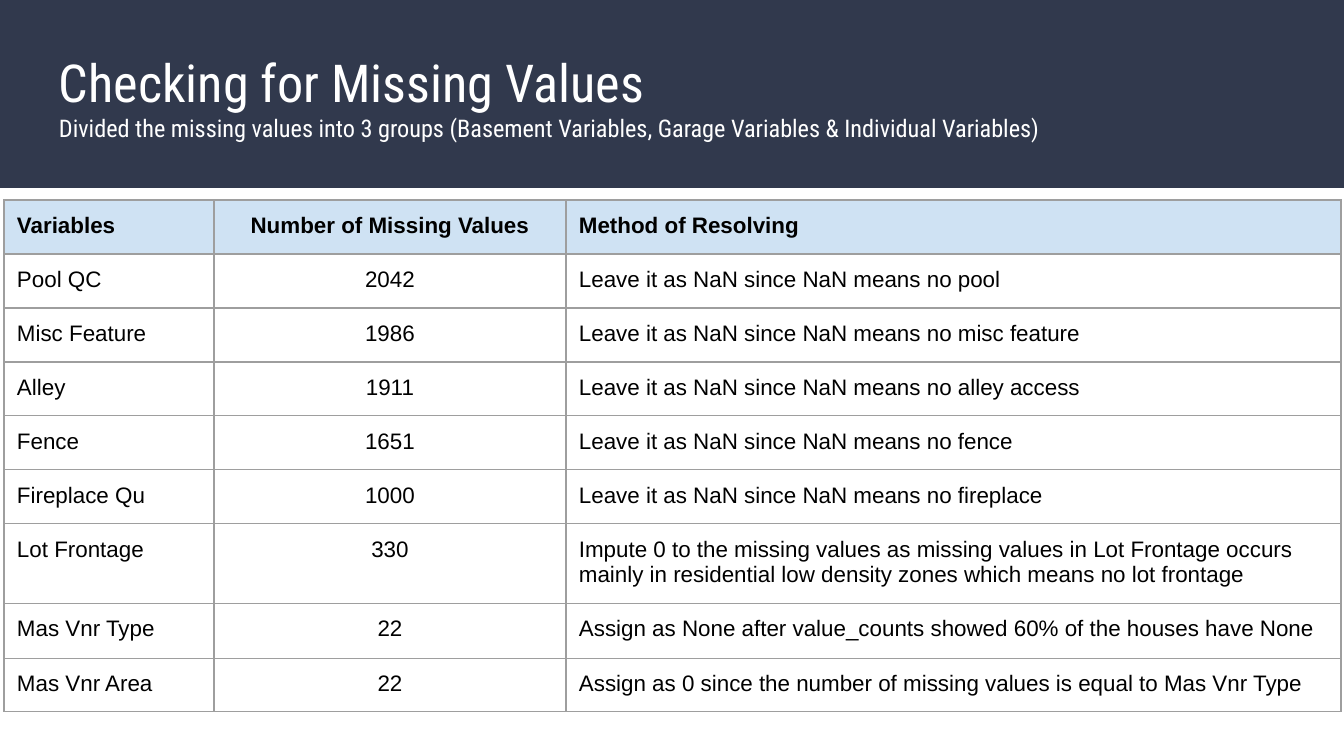
from lxml import etree
from pptx import Presentation
from pptx.dml.color import RGBColor
from pptx.enum.shapes import MSO_SHAPE
from pptx.enum.text import MSO_ANCHOR, PP_ALIGN
from pptx.oxml.ns import qn
from pptx.util import Emu, Pt

LEFT, CENTER = PP_ALIGN.LEFT, PP_ALIGN.CENTER
MIDDLE, TOP = MSO_ANCHOR.MIDDLE, MSO_ANCHOR.TOP
RECTANGLE = MSO_SHAPE.RECTANGLE

COLORS = {"banner": "31394D", "white": "FFFFFF", "black": "000000",
          "header": "CFE2F3", "border": "9E9E9E"}

HEADING = [
    ("Checking for Missing Values", 28),
    ("Divided the missing values into 3 groups "
     "(Basement Variables, Garage Variables & Individual Variables)", 13),
]
ROWS = [
    ("Variables", "Number of Missing Values", "Method of Resolving"),
    ("Pool QC", "2042", "Leave it as NaN since NaN means no pool"),
    ("Misc Feature", "1986", "Leave it as NaN since NaN means no misc feature"),
    ("Alley", "1911", "Leave it as NaN since NaN means no alley access"),
    ("Fence", "1651", "Leave it as NaN since NaN means no fence"),
    ("Fireplace Qu", "1000", "Leave it as NaN since NaN means no fireplace"),
    ("Lot Frontage", "330",
     "Impute 0 to the missing values as missing values in Lot Frontage occurs "
     "mainly in residential low density zones which means no lot frontage"),
    ("Mas Vnr Type", "22",
     "Assign as None after value_counts showed 60% of the houses have None"),
    ("Mas Vnr Area", "22",
     "Assign as 0 since the number of missing values is equal to Mas Vnr Type"),
]
COLUMN_WIDTHS = [210, 352, 775]
COLUMN_ALIGNS = [LEFT, CENTER, LEFT]
ROW_HEIGHTS = [54] * 6 + [79, 55, 52]

SLIDE_SIZE = (1344, 756)
BANNER = (0, 0, 1344, 188)
TITLE = (46, 30, 1252, 133)
TABLE_CORNER = (4, 200)
INSET = 13


def px(length):
    return Emu(round(length * 914400 / 134.4))


def color(name):
    return RGBColor.from_string(COLORS[name])


def set_margins(target):
    for side in ("left", "top", "right", "bottom"):
        setattr(target, f"margin_{side}", px(INSET))


def write(para, text, color_name, **font_format):
    span = para.add_run()
    span.text = text
    span.font.color.rgb = color(color_name)
    for name, value in font_format.items():
        setattr(span.font, name, value)


def add_borders(cell):
    """Draw the four cell borders; they must come before the fill in tcPr."""
    properties = cell._tc.get_or_add_tcPr()
    for index, side in enumerate(("lnL", "lnR", "lnT", "lnB")):
        line = etree.Element(qn(f"a:{side}"), w=str(Pt(0.75)))
        fill = etree.SubElement(line, qn("a:solidFill"))
        etree.SubElement(fill, qn("a:srgbClr"), val=COLORS["border"])
        properties.insert(index, line)


def add_banner(slide):
    banner = slide.shapes.add_shape(RECTANGLE, *map(px, BANNER))
    banner.shadow.inherit = False
    banner.fill.solid()
    banner.fill.fore_color.rgb = color("banner")
    banner.line.fill.background()


def add_heading(slide):
    frame = slide.shapes.add_textbox(*map(px, TITLE)).text_frame
    frame.word_wrap = True
    frame.vertical_anchor = MIDDLE
    set_margins(frame)
    for index, (text, size) in enumerate(HEADING):
        para = frame.add_paragraph() if index else frame.paragraphs[0]
        write(para, text, "white", name="Roboto Condensed", size=Pt(size))


def add_variables_table(slide):
    size = (sum(COLUMN_WIDTHS), sum(ROW_HEIGHTS))
    table = slide.shapes.add_table(len(ROWS), len(COLUMN_WIDTHS),
                                   *map(px, TABLE_CORNER + size)).table
    table.horz_banding = False
    for column, width in zip(table.columns, COLUMN_WIDTHS):
        column.width = px(width)
    for row_index, (row, height) in enumerate(zip(table.rows, ROW_HEIGHTS)):
        row.height = px(height)
        is_header = row_index == 0
        for cell, text, align in zip(row.cells, ROWS[row_index], COLUMN_ALIGNS):
            set_margins(cell)
            cell.vertical_anchor = TOP
            cell.fill.solid()
            cell.fill.fore_color.rgb = color("header" if is_header else "white")
            add_borders(cell)
            para = cell.text_frame.paragraphs[0]
            para.alignment = align
            write(para, text, "black", name="Arial", size=Pt(12), bold=is_header)


def main():
    deck = Presentation()
    deck.slide_width, deck.slide_height = map(px, SLIDE_SIZE)
    slide = deck.slides.add_slide(deck.slide_layouts[6])
    add_banner(slide)
    add_heading(slide)
    add_variables_table(slide)
    deck.save("out.pptx")


if __name__ == "__main__":
    main()
